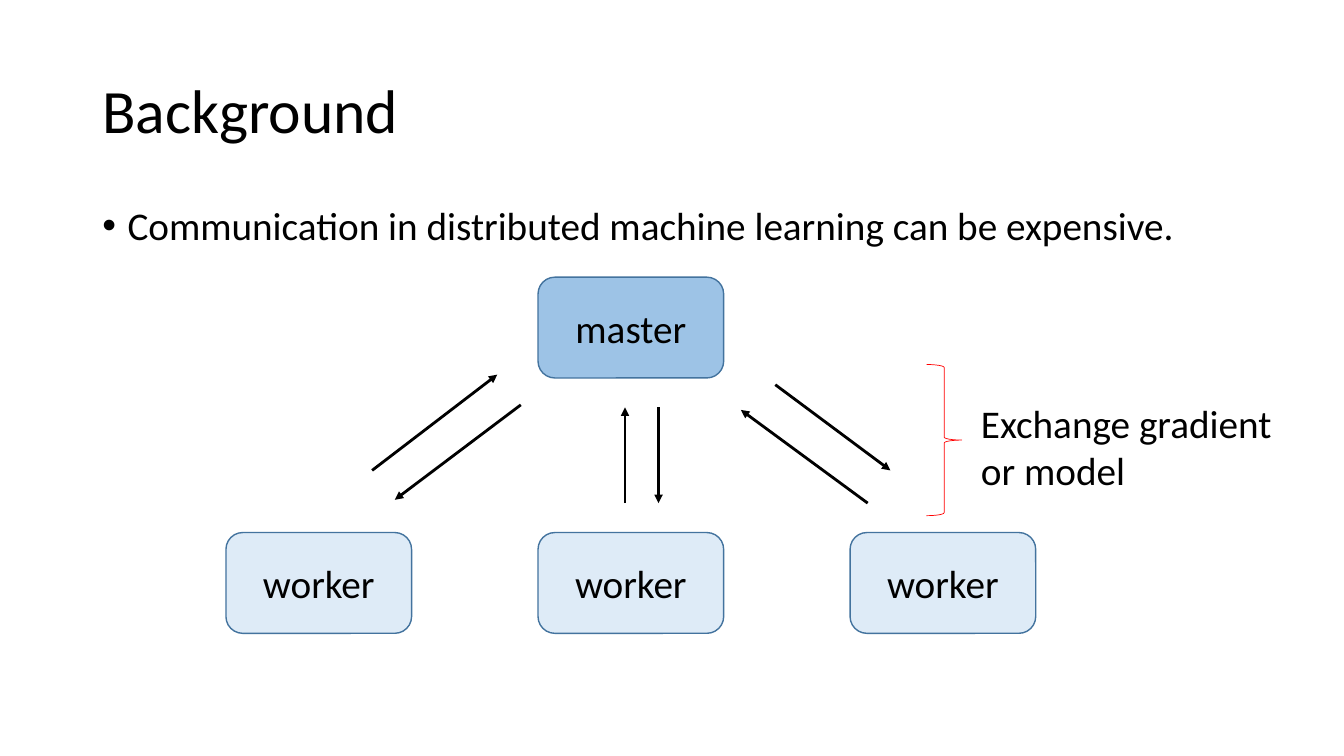
from pptx import Presentation
from pptx.dml.color import RGBColor
from pptx.enum.shapes import MSO_CONNECTOR as CONN, MSO_SHAPE as SHAPE
from pptx.enum.text import MSO_ANCHOR as ANCHOR, PP_ALIGN as ALIGN
from pptx.oxml.ns import qn
from pptx.util import Inches, Pt
from lxml.etree import SubElement

COLORS = {
    "text": "000000",
    "arrow": "000000",
    "master": "9DC3E6",
    "worker": "DEEBF7",
    "border": "43739E",
    "brace": "FF0000",
}
FONT = "Calibri"
WIDTH, HEIGHT = Inches(13.33), Inches(7.5)
COLS, ROWS = 160, 90


def rgb(name):
    return RGBColor.from_string(COLORS[name])


def grid(x, y):
    return round(x * WIDTH / COLS), round(y * HEIGHT / ROWS)


def place(x, y, w, h):
    return *grid(x, y), *grid(w, h)


def write(tf, text, size=28, anchor=ANCHOR.TOP, align=ALIGN.LEFT,
          spacing=1.0, bullet=False, wrap=True):
    tf.word_wrap = wrap
    tf.vertical_anchor = anchor
    for i, line in enumerate(text.split("\n")):
        p = tf.paragraphs[0] if i == 0 else tf.add_paragraph()
        p.alignment = align
        p.line_spacing = spacing
        r = p.add_run()
        r.text = line
        r.font.name = FONT
        r.font.size = Pt(size)
        r.font.color.rgb = rgb("text")
        if bullet:
            ppr = p._p.get_or_add_pPr()
            ppr.set("marL", str(Inches(0.25)))
            ppr.set("indent", str(-Inches(0.25)))
            SubElement(ppr, qn("a:buFont")).set("typeface", "Arial")
            SubElement(ppr, qn("a:buChar")).set("char", "•")


def add_text(s, box, text, **fmt):
    write(s.shapes.add_textbox(*place(*box)).text_frame, text, **fmt)


def add_node(s, box, role):
    sp = s.shapes.add_shape(SHAPE.ROUNDED_RECTANGLE, *place(*box))
    sp.shadow.inherit = False
    sp.fill.solid()
    sp.fill.fore_color.rgb = rgb(role)
    sp.line.color.rgb = rgb("border")
    sp.line.width = Pt(1)
    write(sp.text_frame, role, anchor=ANCHOR.MIDDLE, align=ALIGN.CENTER)


def add_arrow(s, start, end):
    c = s.shapes.add_connector(CONN.STRAIGHT, *grid(*start), *grid(*end))
    c.line.color.rgb = rgb("arrow")
    c.line.width = Pt(2)
    SubElement(c.line._get_or_add_ln(), qn("a:tailEnd")).set("type", "triangle")
    SubElement(c._element.spPr, qn("a:effectLst"))


def add_network(s, box):
    x, y, w, h = box
    node_w, node_h = 22.1, 12
    step = (w - node_w) / 2
    add_node(s, (x + step, y, node_w, node_h), "master")
    for i in range(3):
        add_node(s, (x + i * step, y + h - node_h, node_w, node_h), "worker")
    arrows = [
        (17.4, 23, 32.3, 11.6),
        (35.1, 15.2, 20.1, 26.5),
        (76.4, 26.9, 61.3, 15.8),
        (65.4, 12.8, 79.1, 23),
        (47.5, 26.9, 47.5, 15.5),
        (51.5, 15.5, 51.5, 26.9),
    ]
    for x1, y1, x2, y2 in arrows:
        add_arrow(s, (x + x1, y + y1), (x + x2, y + y2))


def add_note(s, box, text):
    x, y, w, h = box
    brace_w, text_x, text_h = 4.2, 5.3, 12.5
    add_text(s, (x + text_x, y + 3.6, w - text_x, text_h), text, wrap=False)
    brace = s.shapes.add_shape(SHAPE.RIGHT_BRACE, *place(x, y, brace_w, h))
    brace.shadow.inherit = False
    brace.fill.background()
    brace.line.color.rgb = rgb("brace")
    brace.line.width = Pt(0.5)


def add_background_slide(prs):
    s = prs.slides.add_slide(prs.slide_layouts[6])
    add_text(s, (11, 4.8, 138, 17.4), "Background", size=44,
             anchor=ANCHOR.MIDDLE, spacing=0.9)
    add_text(s, (11, 24, 138, 57),
             "Communication in distributed machine learning can be expensive.",
             spacing=0.9, bullet=True)
    add_network(s, (26.9, 33, 96.4, 42.4))
    add_note(s, (110.3, 43.4, 43.7, 18), "Exchange gradient\nor model")


def main():
    prs = Presentation()
    prs.slide_width, prs.slide_height = WIDTH, HEIGHT
    add_background_slide(prs)
    prs.save("out.pptx")


if __name__ == "__main__":
    main()
